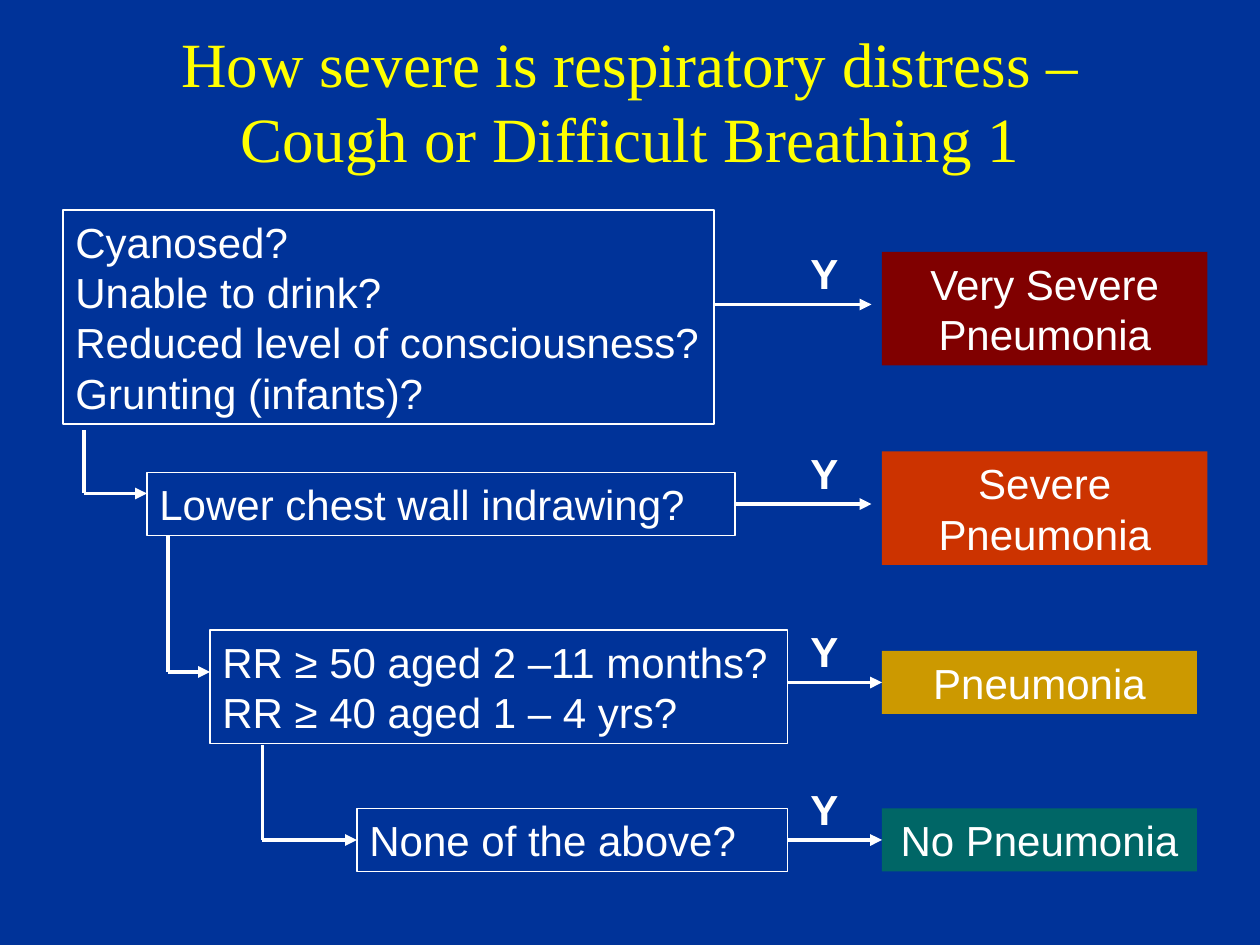
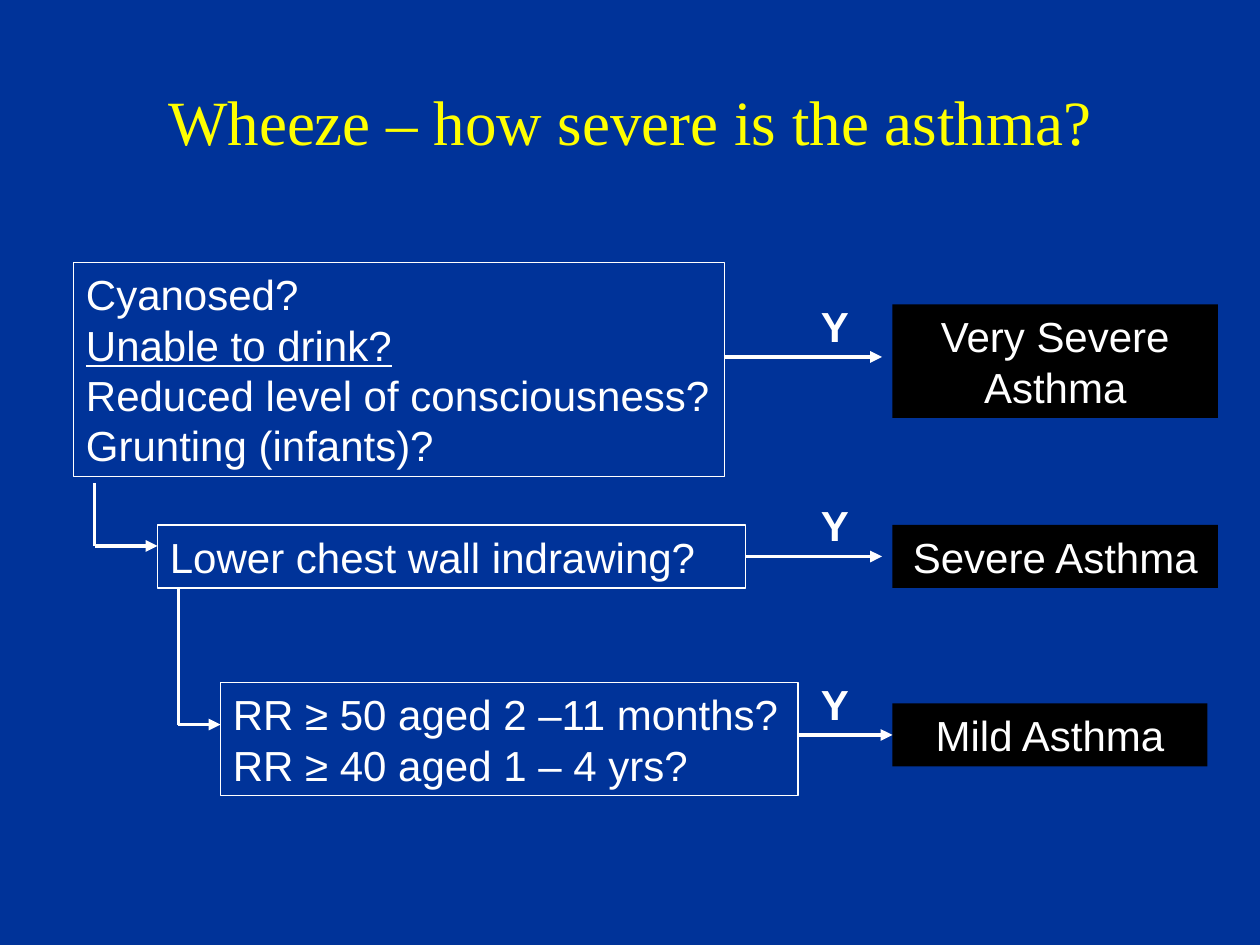
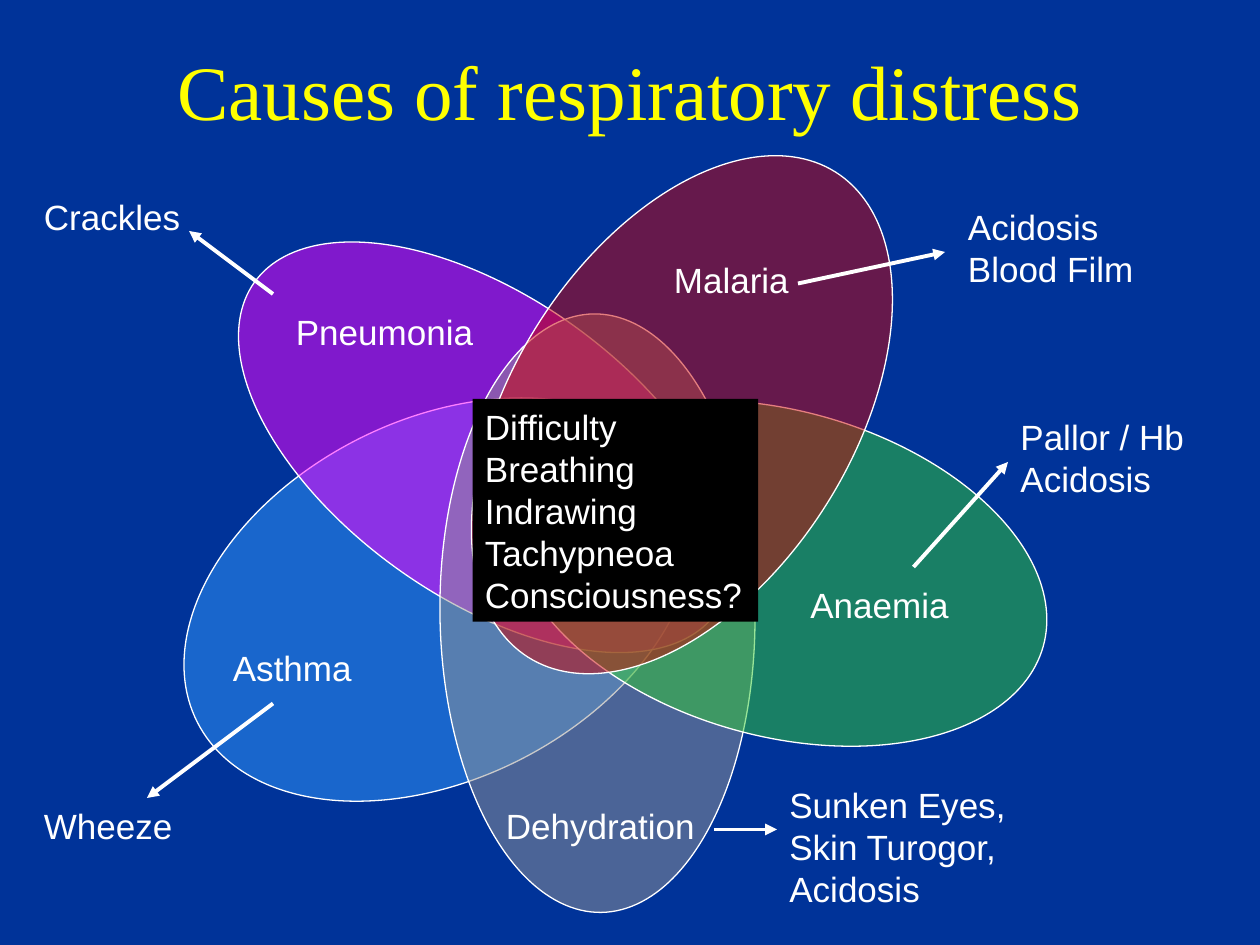
"""Builds three slides on judging respiratory distress."""
from dataclasses import dataclass
from typing import NamedTuple

from lxml.etree import SubElement
from pptx import Presentation
from pptx.dml.color import RGBColor
from pptx.enum.shapes import MSO_CONNECTOR, MSO_SHAPE
from pptx.enum.text import MSO_ANCHOR, PP_ALIGN
from pptx.oxml.ns import qn
from pptx.util import Emu, Pt

EMU_PER_PX = 7620
SLIDE_WIDTH, SLIDE_HEIGHT = 1200, 900
TITLE_ONLY = 5
RECTANGLE, OVAL = MSO_SHAPE.RECTANGLE, MSO_SHAPE.OVAL
STRAIGHT = MSO_CONNECTOR.STRAIGHT
TOP, MIDDLE = MSO_ANCHOR.TOP, MSO_ANCHOR.MIDDLE
LEFT, CENTER = PP_ALIGN.LEFT, PP_ALIGN.CENTER


@dataclass(frozen=True)
class Theme:
    """Colours, fonts and type sizes of the deck."""
    background: str = "003399"
    title: str = "FFFF00"
    text: str = "FFFFFF"
    outline: str = "FFFFFF"
    emphasis: str = "000000"
    very_severe: str = "800000"
    severe: str = "CC3300"
    moderate: str = "CC9900"
    none: str = "006666"
    asthma: str = "3399FF"
    pneumonia: str = "FF00FF"
    dehydration: str = "969696"
    anaemia: str = "33CC33"
    malaria: str = "CC0000"
    title_font: str = "Times New Roman"
    body_font: str = "Arial"
    flow_title_size: int = 36
    causes_title_size: int = 44
    flow_size: int = 24
    causes_size: int = 20
    outline_width: float = 0.75
    arrow_width: float = 2.25
    petal_opacity: int = 50


THEME = Theme()


class Point(NamedTuple):
    """A position in px."""
    x: int
    y: int


class Box(NamedTuple):
    """A rectangle in px."""
    left: int
    top: int
    width: int
    height: int

    def shifted(self, by: Point) -> "Box":
        """Return this box moved by an offset."""
        return Box(self.left + by.x, self.top + by.y, self.width, self.height)

    def side_middles(self) -> list[Point]:
        """Return the top, left, bottom and right side middles."""
        mid_x, mid_y = self.left + self.width // 2, self.top + self.height // 2
        return [Point(mid_x, self.top), Point(self.left, mid_y),
                Point(mid_x, self.top + self.height),
                Point(self.left + self.width, mid_y)]


@dataclass(frozen=True)
class Question:
    """A clinical check with the arrow height and the elbow that leads to it."""
    text: str
    box: Box
    yes_y: int
    elbow: tuple[Point, int] | None = None


@dataclass(frozen=True)
class Outcome:
    """A severity class reached by answering yes."""
    text: str
    box: Box
    color: str
    arrow_end: int


@dataclass(frozen=True)
class Cause:
    """A cause of distress, its petal, its label and the sign it points to."""
    name: str
    petal: Box
    angle: float
    color: str
    label: Point
    sign: str
    sign_box: Box
    arrow: tuple[Point, Point]


QUESTIONS = [
    Question("Cyanosed?\nUnable to drink?\nReduced level of consciousness?\n"
             "Grunting (infants)?", Box(60, 200, 620, 204), 290),
    Question("Lower chest wall indrawing?", Box(140, 450, 560, 60), 480,
             (Point(80, 410), 470)),
    Question("RR ≥ 50 aged 2 –11 months?\nRR ≥ 40 aged 1 – 4 yrs?",
             Box(200, 600, 550, 108), 650, (Point(160, 510), 640)),
    Question("None of the above?", Box(340, 770, 410, 60), 800,
             (Point(250, 710), 800)),
]
PNEUMONIA_OUTCOMES = [
    Outcome("Very Severe Pneumonia", Box(840, 240, 310, 108), THEME.very_severe, 830),
    Outcome("Severe Pneumonia", Box(840, 430, 310, 108), THEME.severe, 830),
    Outcome("Pneumonia", Box(840, 620, 300, 60), THEME.moderate, 840),
    Outcome("No Pneumonia", Box(840, 770, 300, 60), THEME.none, 840),
]
ASTHMA_OUTCOMES = [
    Outcome("Very Severe Asthma", Box(850, 290, 310, 108), THEME.emphasis, 840),
    Outcome("Severe Asthma", Box(850, 500, 310, 60), THEME.emphasis, 840),
    Outcome("Mild Asthma", Box(850, 670, 300, 60), THEME.emphasis, 850),
]
CAUSES = [
    Cause("Asthma", Box(160, 400, 516, 342), 333.1, THEME.asthma, Point(210, 610),
          "Wheeze", Box(30, 760, 220, 53), (Point(260, 670), Point(140, 760))),
    Cause("Pneumonia", Box(192, 283, 541, 286), 35.5, THEME.pneumonia, Point(270, 290),
          "Crackles", Box(30, 180, 220, 53), (Point(260, 280), Point(180, 220))),
    Cause("Dehydration", Box(284, 434, 570, 300), 269.3, THEME.dehydration,
          Point(470, 760), "Sunken Eyes, Skin Turogor, Acidosis",
          Box(740, 740, 250, 132), (Point(680, 790), Point(740, 790))),
    Cause("Anaemia", Box(481, 391, 522, 310), 15.4, THEME.anaemia, Point(760, 550),
          "Pallor / Hb\nAcidosis", Box(960, 390, 220, 92),
          (Point(870, 540), Point(960, 440))),
    Cause("Malaria", Box(376, 233, 547, 324), 302.4, THEME.malaria, Point(630, 240),
          "Acidosis\nBlood Film", Box(910, 190, 220, 92),
          (Point(760, 270), Point(900, 240))),
]


def emu(*lengths: int) -> list[Emu]:
    """Turn px into EMU."""
    return [Emu(length * EMU_PER_PX) for length in lengths]


def rgb(color: str) -> RGBColor:
    """Turn a hex string into a colour."""
    return RGBColor.from_string(color)


def write(shape, text: str, size: int, align=LEFT, anchor=TOP, bold: bool = False,
          font: str = THEME.body_font, color: str = THEME.text) -> None:
    """Fill a shape with wrapped paragraphs of one style."""
    frame = shape.text_frame
    frame.text = text
    frame.word_wrap = True
    frame.vertical_anchor = anchor
    for paragraph in frame.paragraphs:
        paragraph.alignment = align
        paragraph.font.name = font
        paragraph.font.size = Pt(size)
        paragraph.font.bold = bold
        paragraph.font.color.rgb = rgb(color)


def add_titled_slide(prs, title: str, box: Box, size: int):
    """Add a slide with its title placed and styled."""
    slide = prs.slides.add_slide(prs.slide_layouts[TITLE_ONLY])
    heading = slide.shapes.title
    heading.left, heading.top, heading.width, heading.height = emu(*box)
    write(heading, title, size, CENTER, MIDDLE, font=THEME.title_font, color=THEME.title)
    return slide


def add_figure(slide, kind, box: Box, fill: str | None, outlined: bool):
    """Add a preset shape with an optional fill and outline."""
    figure = slide.shapes.add_shape(kind, *emu(*box))
    figure.shadow.inherit = False
    if fill:
        figure.fill.solid()
        figure.fill.fore_color.rgb = rgb(fill)
    else:
        figure.fill.background()
    if outlined:
        figure.line.color.rgb = rgb(THEME.outline)
        figure.line.width = Pt(THEME.outline_width)
    else:
        figure.line.fill.background()
    return figure


def add_label(slide, text: str, box: Box, size: int, bold: bool = False) -> None:
    """Add free-standing text."""
    write(slide.shapes.add_textbox(*emu(*box)), text, size, bold=bold)


def add_line(slide, start: Point, end: Point, arrow: bool = True):
    """Add a straight line, with an arrowhead at its end if wanted."""
    line = slide.shapes.add_connector(STRAIGHT, *emu(*start, *end))
    line.line.color.rgb = rgb(THEME.outline)
    line.line.width = Pt(THEME.arrow_width)
    if arrow:
        SubElement(line.line._get_or_add_ln(), qn("a:tailEnd"), type="triangle")
    SubElement(line._element.spPr, qn("a:effectLst"))
    return line


def add_joined_arrow(slide, start: Point, end: Point, source, source_box: Box,
                     target, target_box: Box) -> None:
    """Add an arrow, joined wherever it meets the middle of a side."""
    arrow = add_line(slide, start, end)
    for join, shape, box, point in ((arrow.begin_connect, source, source_box, start),
                                    (arrow.end_connect, target, target_box, end)):
        middles = box.side_middles()
        if point in middles:
            join(shape, middles.index(point))


def add_flow(slide, outcomes: list[Outcome], shift: Point, underlined: str = "") -> None:
    """Draw a staircase of questions, each leading to an outcome."""
    for question, outcome in zip(QUESTIONS, outcomes):
        box = question.box.shifted(shift)
        check = add_figure(slide, RECTANGLE, box, None, True)
        write(check, question.text, THEME.flow_size)
        for paragraph in check.text_frame.paragraphs:
            if paragraph.text == underlined:
                paragraph.font.underline = True
        severity = add_figure(slide, RECTANGLE, outcome.box, outcome.color, False)
        write(severity, outcome.text, THEME.flow_size, CENTER)

        yes_y = question.yes_y + shift.y
        add_joined_arrow(slide, Point(box.left + box.width, yes_y),
                         Point(outcome.arrow_end, yes_y),
                         check, box, severity, outcome.box)
        add_label(slide, "Y", Box(760 + shift.x, yes_y - 60, 50, 60),
                  THEME.flow_size, bold=True)
        if question.elbow:
            start, turn_y = question.elbow
            top = Point(start.x + shift.x, start.y + shift.y)
            corner = Point(top.x, turn_y + shift.y)
            add_line(slide, top, corner, arrow=False)
            add_joined_arrow(slide, corner, Point(box.left, corner.y),
                             check, box, check, box)


def add_petal(slide, cause: Cause) -> None:
    """Draw the tilted translucent ellipse of a cause."""
    petal = add_figure(slide, OVAL, cause.petal, cause.color, True)
    petal.rotation = cause.angle
    tint = petal._element.spPr.find(qn("a:solidFill"))[0]
    SubElement(tint, qn("a:alpha"), val=str(THEME.petal_opacity * 1000))


def add_causes(slide) -> None:
    """Draw the overlapping causes around their shared signs."""
    for cause in CAUSES:
        add_petal(slide, cause)
    for cause in CAUSES:
        add_label(slide, cause.name, Box(*cause.label, 206, 53), THEME.causes_size)
        add_label(slide, cause.sign, cause.sign_box, THEME.causes_size)
        add_line(slide, *cause.arrow)
    shared_signs = add_figure(slide, RECTANGLE, Box(450, 380, 272, 212),
                              THEME.emphasis, False)
    write(shared_signs, "Difficulty Breathing\nIndrawing\nTachypneoa\nConsciousness?",
          THEME.causes_size)


def main() -> None:
    """Build and save the deck."""
    prs = Presentation()
    prs.slide_width, prs.slide_height = emu(SLIDE_WIDTH, SLIDE_HEIGHT)
    backdrop = prs.slide_master.background.fill
    backdrop.solid()
    backdrop.fore_color.rgb = rgb(THEME.background)

    pneumonia = add_titled_slide(
        prs, "How severe is respiratory distress – Cough or Difficult Breathing 1",
        Box(90, 20, 1020, 150), THEME.flow_title_size)
    add_flow(pneumonia, PNEUMONIA_OUTCOMES, Point(0, 0))

    asthma = add_titled_slide(prs, "Wheeze – how severe is the asthma?",
                              Box(90, 40, 1020, 150), THEME.flow_title_size)
    add_flow(asthma, ASTHMA_OUTCOMES, Point(10, 50), underlined="Unable to drink?")

    causes = add_titled_slide(prs, "Causes of respiratory distress",
                              Box(90, 30, 1020, 110), THEME.causes_title_size)
    add_causes(causes)
    prs.save("out.pptx")


if __name__ == "__main__":
    main()
